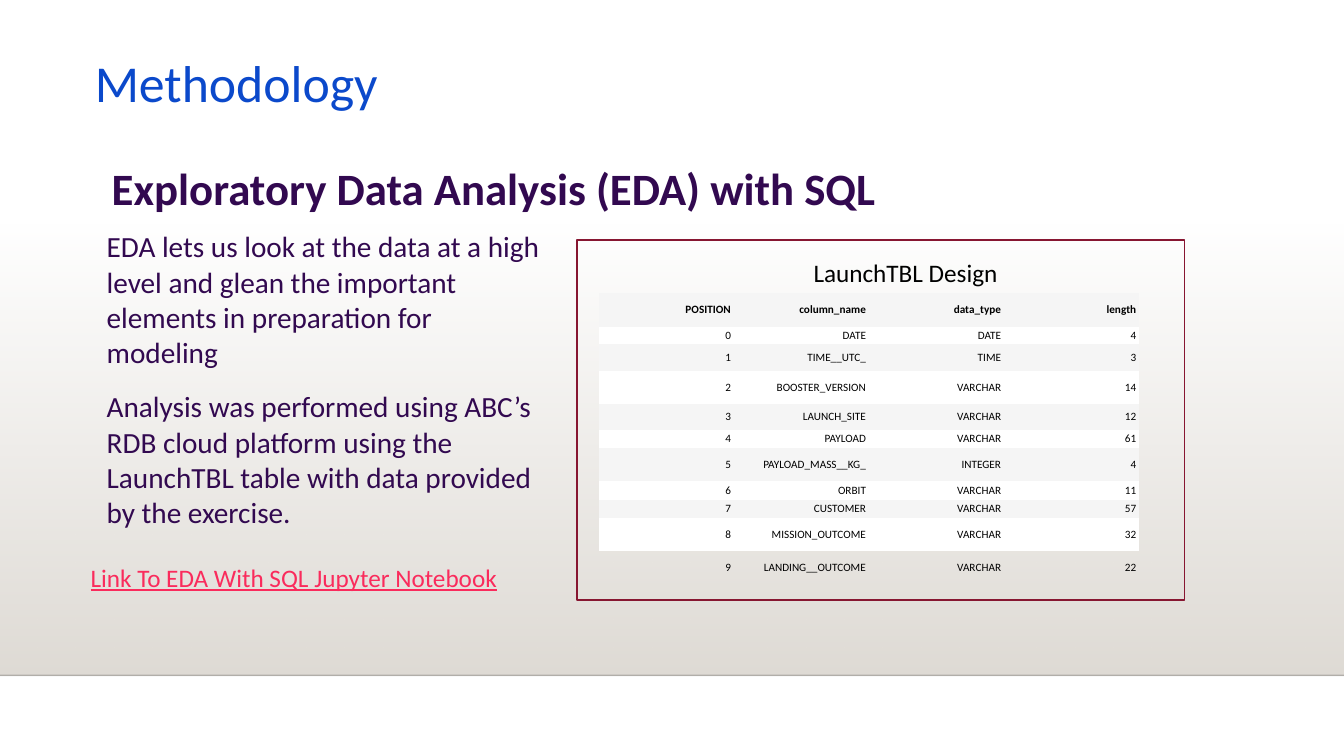
"""Build the methodology slide on exploratory data analysis with SQL."""
from dataclasses import dataclass

import pptx
import pptx.dml.color
import pptx.enum.shapes
import pptx.enum.text
import pptx.oxml
import pptx.oxml.ns
import pptx.util

Inches, Pt = pptx.util.Inches, pptx.util.Pt
PP_ALIGN = pptx.enum.text.PP_ALIGN
MIDDLE = pptx.enum.text.MSO_ANCHOR.MIDDLE
AUTO_SIZE = pptx.enum.text.MSO_AUTO_SIZE

COLORS = {
    "title": "0B49CB", "text": "320950", "link": "FA2B5C", "black": "000000",
    "floor": "DFDBD5", "horizon": "000001", "frame": "871631",
    "band": "F5F5F5", "white": "FFFFFF",
}
FONT = "Calibri"
NO_STYLE = "{2D5ABB26-0587-4C30-8999-92F81FD0307C}"
COL_W = 1.34
ROW_H = (0.33, 0.17, 0.26, 0.33, 0.26, 0.18, 0.33, 0.18, 0.18, 0.33, 0.33)
COLUMNS = (
    ("DATE", "DATE", 4), ("TIME__UTC_", "TIME", 3),
    ("BOOSTER_VERSION", "VARCHAR", 14), ("LAUNCH_SITE", "VARCHAR", 12),
    ("PAYLOAD", "VARCHAR", 61), ("PAYLOAD_MASS__KG_", "INTEGER", 4),
    ("ORBIT", "VARCHAR", 11), ("CUSTOMER", "VARCHAR", 57),
    ("MISSION_OUTCOME", "VARCHAR", 32), ("LANDING__OUTCOME", "VARCHAR", 22),
)
CELL_FORMAT = {
    "margin_left": Inches(0.03), "margin_right": Inches(0.03),
    "margin_top": Inches(0.02), "margin_bottom": Inches(0.02),
    "vertical_anchor": MIDDLE,
}


@dataclass
class TextSpec:
    """Text block with its place and look."""
    box: tuple[float, float, float, float]
    lines: tuple[str, ...]
    size: float
    color: str
    bold: bool = False
    underline: bool = False
    wrap: bool = True
    grow: bool = True


TEXTS = (
    TextSpec((0.96, 2.22, 4.51, 3.19), (
        "EDA lets us look at the data at a high level and glean the important "
        "elements in preparation for modeling",
        "Analysis was performed using ABC’s RDB cloud platform using the "
        "LaunchTBL table with data provided by the exercise.",
    ), 20.9, "text", grow=False),
    TextSpec((1.01, 1.55, 8.15, 0.64),
             ("Exploratory Data Analysis (EDA) with SQL",), 32, "text", bold=True),
    TextSpec((7.97, 2.5, 2.15, 0.4), ("LaunchTBL Design",), 18, "black", wrap=False),
    TextSpec((0.8, 5.53, 4.83, 0.4),
             ("Link To EDA With SQL Jupyter Notebook",), 18, "link", underline=True),
)


def rgb(name: str) -> pptx.dml.color.RGBColor:
    """Look up a named colour."""
    return pptx.dml.color.RGBColor.from_string(COLORS[name])


def inches(values: tuple[float, ...]) -> list[pptx.util.Length]:
    """Convert numbers to lengths."""
    return [Inches(v) for v in values]


def apply(target: object, values: dict[str, object]) -> None:
    """Set attributes from a dict."""
    for name, value in values.items():
        setattr(target, name, value)


def style(p, size: float, color: str, bold: bool = False, underline: bool = False) -> None:
    """Format every run of a paragraph."""
    for r in p.runs:
        apply(r.font, {"name": FONT, "size": Pt(size), "bold": bold, "underline": underline})
        r.font.color.rgb = rgb(color)


def set_alpha(owner, percent: int) -> None:
    """Set the opacity of the first colour inside an element."""
    color = owner.find(".//" + pptx.oxml.ns.qn("a:srgbClr"))
    color.append(pptx.oxml.parse_xml(
        f'<a:alpha {pptx.oxml.ns.nsdecls("a")} val="{percent * 1000}"/>'))


def add_backdrop(s) -> None:
    """Draw the gradient floor and the horizon line."""
    sp = s.shapes.add_shape(pptx.enum.shapes.MSO_SHAPE.RECTANGLE,
                            *inches((0, 2.21, 13.33, 4.49)))
    sp.shadow.inherit = False
    sp.line.fill.background()
    sp.fill.gradient()
    sp.fill.gradient_angle = 270
    for stop, position in zip(sp.fill.gradient_stops, (0, 1)):
        stop.position = position
        stop.color.rgb = rgb("floor")
    set_alpha(sp._element.spPr, 0)

    horizon = s.shapes.add_connector(pptx.enum.shapes.MSO_CONNECTOR.STRAIGHT,
                                     *inches((0, 6.7, 13.33, 6.7)))
    horizon.line.width = Pt(1)
    horizon.line.color.rgb = rgb("horizon")
    props = horizon._element.spPr
    set_alpha(props, 20)
    props.append(pptx.oxml.parse_xml(f'<a:effectLst {pptx.oxml.ns.nsdecls("a")}/>'))


def add_title(s) -> None:
    """Place and format the title placeholder."""
    sp = s.shapes.title
    apply(sp, dict(zip(("left", "top", "width", "height"), inches((0.84, 0.59, 11.5, 0.6)))))
    tf = sp.text_frame
    tf.text = "Methodology"
    apply(tf, {"vertical_anchor": MIDDLE, "auto_size": AUTO_SIZE.NONE})
    p = tf.paragraphs[0]
    apply(p, {"alignment": PP_ALIGN.LEFT, "line_spacing": 0.7})
    style(p, 37, "title")


def add_text(s, spec: TextSpec) -> None:
    """Draw one text block."""
    tf = s.shapes.add_textbox(*inches(spec.box)).text_frame
    apply(tf, {"word_wrap": spec.wrap,
               "auto_size": AUTO_SIZE.SHAPE_TO_FIT_TEXT if spec.grow else AUTO_SIZE.NONE})
    for i, line in enumerate(spec.lines):
        p = tf.add_paragraph() if i else tf.paragraphs[0]
        p.add_run().text = line
        p.space_before = Pt(14 if i else 0)
        style(p, spec.size, spec.color, spec.bold, spec.underline)


def add_design_table(s) -> None:
    """Draw the column listing of the launch table."""
    rows = [("POSITION", "column_name", "data_type", "length")]
    rows += [(i, *column) for i, column in enumerate(COLUMNS)]
    n = len(rows[0])
    frame = s.shapes.add_table(len(rows), n,
                               *inches((5.94, 2.91, COL_W * n, sum(ROW_H))))
    frame._element.find(".//" + pptx.oxml.ns.qn("a:tableStyleId")).text = NO_STYLE
    table = frame.table
    apply(table, {"first_row": False, "horz_banding": False})
    for col in table.columns:
        col.width = Inches(COL_W)
    for i, (row, values) in enumerate(zip(table.rows, rows)):
        row.height = Inches(ROW_H[i])
        for cell, value in zip(row.cells, values):
            apply(cell, CELL_FORMAT)
            cell.text = str(value)
            p = cell.text_frame.paragraphs[0]
            p.alignment = PP_ALIGN.RIGHT
            style(p, 8, "black", bold=i == 0)
            if i == len(rows) - 1:
                cell.fill.background()
            else:
                cell.fill.solid()
                cell.fill.fore_color.rgb = rgb("white" if i % 2 else "band")


def add_frame(s) -> None:
    """Outline the table area."""
    sp = s.shapes.add_shape(pptx.enum.shapes.MSO_SHAPE.RECTANGLE,
                            *inches((5.72, 2.38, 6.03, 3.57)))
    sp.shadow.inherit = False
    sp.fill.background()
    sp.line.color.rgb = rgb("frame")
    sp.line.width = Pt(1.25)


def main() -> None:
    """Build and save the slide."""
    prs = pptx.Presentation()
    apply(prs, {"slide_width": Inches(13.33), "slide_height": Inches(7.5)})
    s = prs.slides.add_slide(prs.slide_layouts[5])
    add_backdrop(s)
    add_title(s)
    add_design_table(s)
    for spec in TEXTS:
        add_text(s, spec)
    add_frame(s)
    prs.save("out.pptx")


if __name__ == "__main__":
    main()
